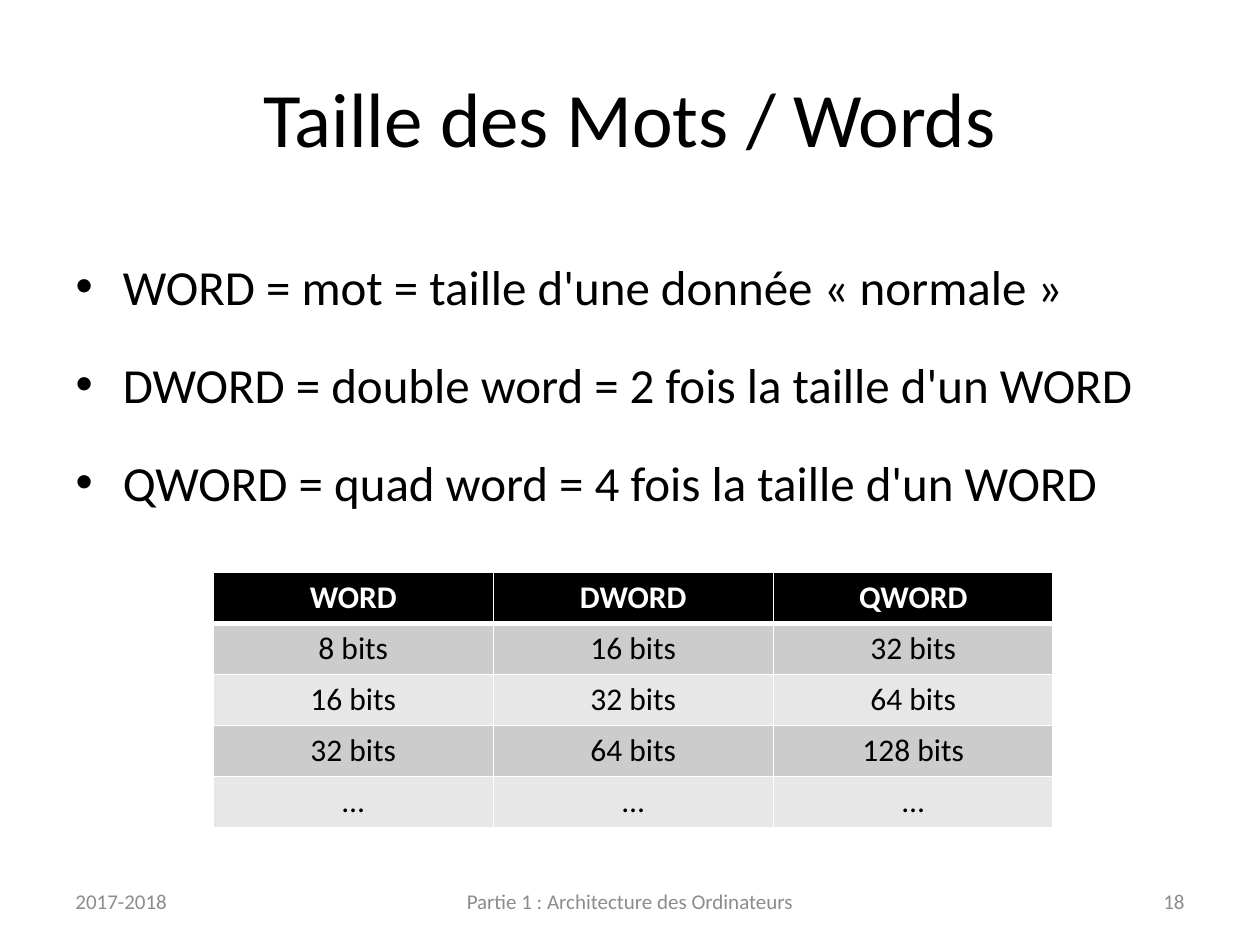
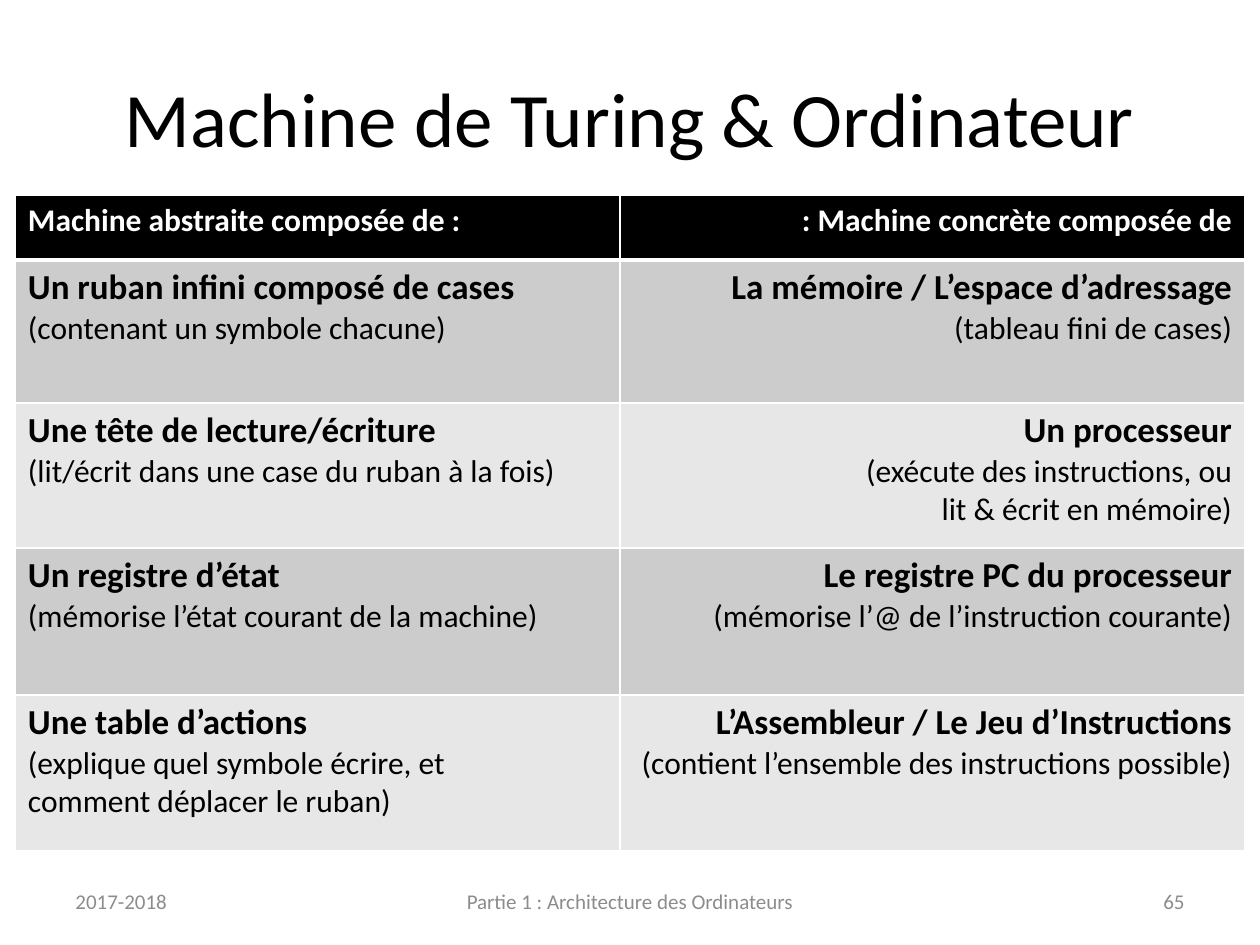
from lxml import etree
from pptx import Presentation
from pptx.dml.color import RGBColor
from pptx.enum.text import MSO_ANCHOR, PP_ALIGN
from pptx.oxml.ns import qn
from pptx.util import Pt

LEFT, CENTER, RIGHT = PP_ALIGN.LEFT, PP_ALIGN.CENTER, PP_ALIGN.RIGHT
MIDDLE = MSO_ANCHOR.MIDDLE
FONT = "Calibri"
BLACK, WHITE, GREY = "000000", "FFFFFF", "8C8C8C"
BANDS = ("CCCCCC", "E7E7E7")
TITLE_AND_CONTENT, TITLE_ONLY = 1, 5
MARGIN = 36
CONTENT_WIDTH = 648


def color(value):
    return RGBColor.from_string(value)


def place(shape, left, top, width, height):
    shape.left, shape.top = Pt(left), Pt(top)
    shape.width, shape.height = Pt(width), Pt(height)


def write(para, text, size=18, ink=BLACK, bold=False, align=LEFT):
    """Fill a paragraph with formatted text; a newline becomes a line break."""
    para.alignment = align
    for index, line in enumerate(text.split("\n")):
        if index:
            para.add_line_break()
        span = para.add_run()
        span.text = line
        span.font.name = FONT
        span.font.size = Pt(size)
        span.font.bold = bold
        span.font.color.rgb = color(ink)


def next_paragraph(frame, index):
    return frame.add_paragraph() if index else frame.paragraphs[0]


def add_footer(slide, number):
    parts = (
        ("2017-2018", MARGIN, 168, LEFT),
        ("Partie 1 : Architecture des Ordinateurs", 246, 228, CENTER),
        (str(number), 516, 168, RIGHT),
    )
    for text, left, width, align in parts:
        box = slide.shapes.add_textbox(Pt(left), Pt(500.5), Pt(width), Pt(28.75))
        box.text_frame.word_wrap = True
        box.text_frame.vertical_anchor = MIDDLE
        write(box.text_frame.paragraphs[0], text, size=12, ink=GREY, align=align)


def add_slide(deck, layout, title, number):
    """Add a slide with the shared title style and footer."""
    slide = deck.slides.add_slide(deck.slide_layouts[layout])
    heading = slide.shapes.title
    place(heading, MARGIN, 21.6, CONTENT_WIDTH, 90)
    heading.text_frame.vertical_anchor = MIDDLE
    write(heading.text_frame.paragraphs[0], title, size=44, align=CENTER)
    add_footer(slide, number)
    return slide


def add_bullets(slide, items):
    body = slide.placeholders[1]
    place(body, MARGIN, 126, CONTENT_WIDTH, 356.4)
    for index, item in enumerate(items):
        para = next_paragraph(body.text_frame, index)
        para.line_spacing = 1.5
        para.space_before = Pt(5.6 if index else 0)
        properties = para._p.get_or_add_pPr()
        properties.set("marL", str(Pt(27)))
        properties.set("indent", str(-Pt(27)))
        etree.SubElement(properties, qn("a:buFont"), typeface="Arial")
        etree.SubElement(properties, qn("a:buChar"), char="•")
        write(para, item, size=28)


def set_borders(cell, top, bottom):
    """Draw white borders; the fill must be set afterwards."""
    properties = cell._tc.get_or_add_tcPr()
    for side, width in (("L", 1), ("R", 1), ("T", top), ("B", bottom)):
        line = etree.SubElement(properties, qn(f"a:ln{side}"), w=str(Pt(width)))
        fill = etree.SubElement(line, qn("a:solidFill"))
        etree.SubElement(fill, qn("a:srgbClr"), val=WHITE)


def add_table(slide, left, top, widths, heights, rows, aligns):
    """Add a banded table; a cell is plain text or a (heading, detail) pair."""
    frame = slide.shapes.add_table(
        len(heights), len(widths), Pt(left), Pt(top), Pt(sum(widths)), Pt(sum(heights)))
    table = frame.table
    for column, width in zip(table.columns, widths):
        column.width = Pt(width)
    for index, (row, height, contents) in enumerate(zip(table.rows, heights, rows)):
        row.height = Pt(height)
        header = index == 0
        for cell, content, align in zip(row.cells, contents, aligns):
            set_borders(cell, top=3 if index == 1 else 1, bottom=3 if header else 1)
            cell.fill.solid()
            cell.fill.fore_color.rgb = color(BLACK if header else BANDS[(index - 1) % 2])
            paragraph = cell.text_frame.paragraphs[0]
            if isinstance(content, str):
                write(paragraph, content, ink=WHITE if header else BLACK,
                      bold=header, align=align)
            else:
                heading, detail = content
                write(paragraph, heading, size=20, bold=True, align=align)
                write(cell.text_frame.add_paragraph(), detail, align=align)


def build_word_sizes(deck):
    slide = add_slide(deck, TITLE_AND_CONTENT, "Taille des Mots / Words", 18)
    add_bullets(slide, (
        "WORD = mot = taille d'une donnée «\u00a0normale\u00a0»".replace("\u00a0", " "),
        "DWORD = double word = 2 fois la taille d'un WORD",
        "QWORD = quad word = 4 fois la taille d'un WORD",
    ))
    rows = [("WORD", "DWORD", "QWORD")]
    rows += [tuple(f"{bits * factor} bits" for factor in (1, 2, 4)) for bits in (8, 16, 32)]
    rows.append(("…",) * 3)
    add_table(slide, 121.9, 327, [160] * 3, [29.2] * 5, rows, [CENTER] * 3)


def build_turing_comparison(deck):
    slide = add_slide(deck, TITLE_ONLY, "Machine de Turing & Ordinateur", 65)
    rows = (
        ("Machine abstraite composée de :", " : Machine concrète composée de"),
        (("Un ruban infini composé de cases", "(contenant un symbole chacune)"),
         ("La mémoire / L’espace d’adressage", "(tableau fini de cases)")),
        (("Une tête de lecture/écriture", "(lit/écrit dans une case du ruban à la fois)"),
         ("Un processeur", "(exécute des instructions, ou\nlit & écrit en mémoire)")),
        (("Un registre d’état", "(mémorise l’état courant de la machine)"),
         ("Le registre PC du processeur", "(mémorise l’@ de l’instruction courante)")),
        (("Une table d’actions",
          "(explique quel symbole écrire, et\ncomment déplacer le ruban)"),
         ("L’Assembleur / Le Jeu d’Instructions",
          "(contient l’ensemble des instructions possible)")),
    )
    add_table(slide, 8.8, 111.4, (345.5, 357), (37.2, 81.8, 82.8, 84, 89.2),
              rows, (LEFT, RIGHT))


def main():
    deck = Presentation()
    deck.slide_width, deck.slide_height = Pt(720), Pt(540)
    build_word_sizes(deck)
    build_turing_comparison(deck)
    deck.save("out.pptx")


if __name__ == "__main__":
    main()
